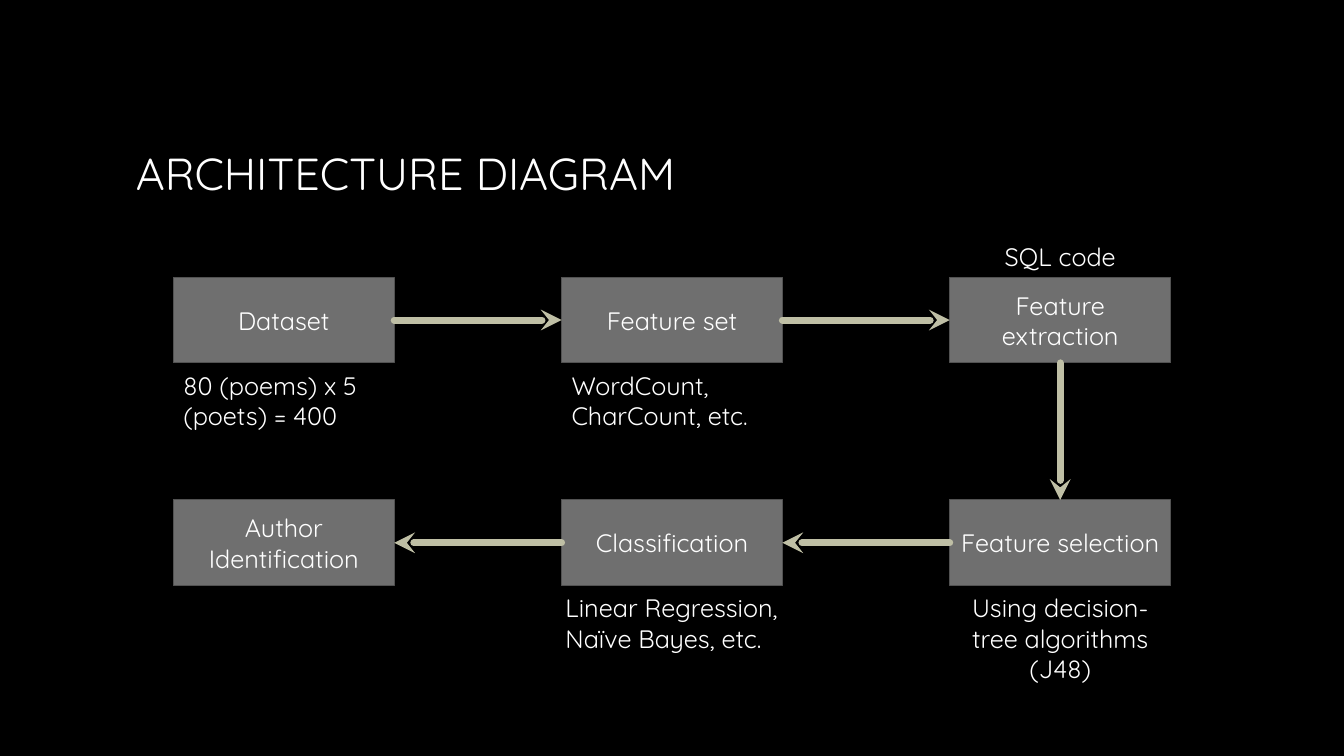
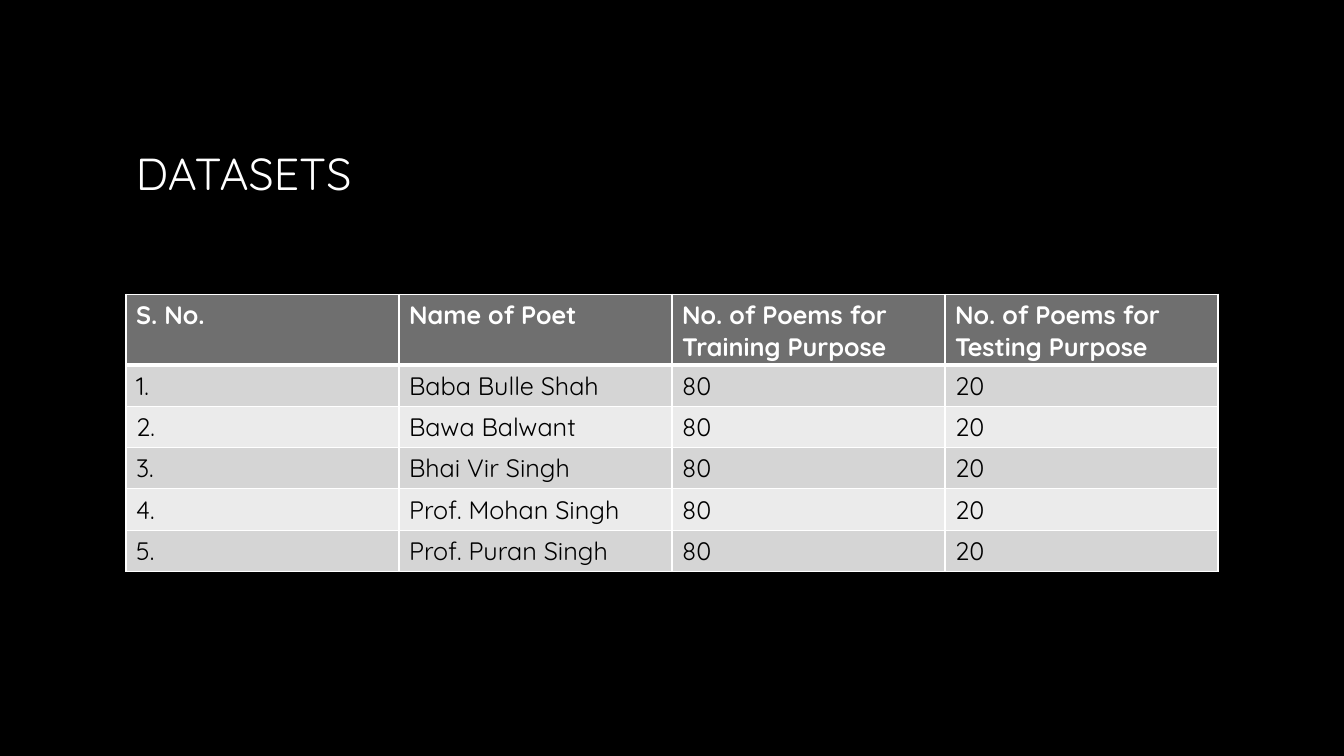
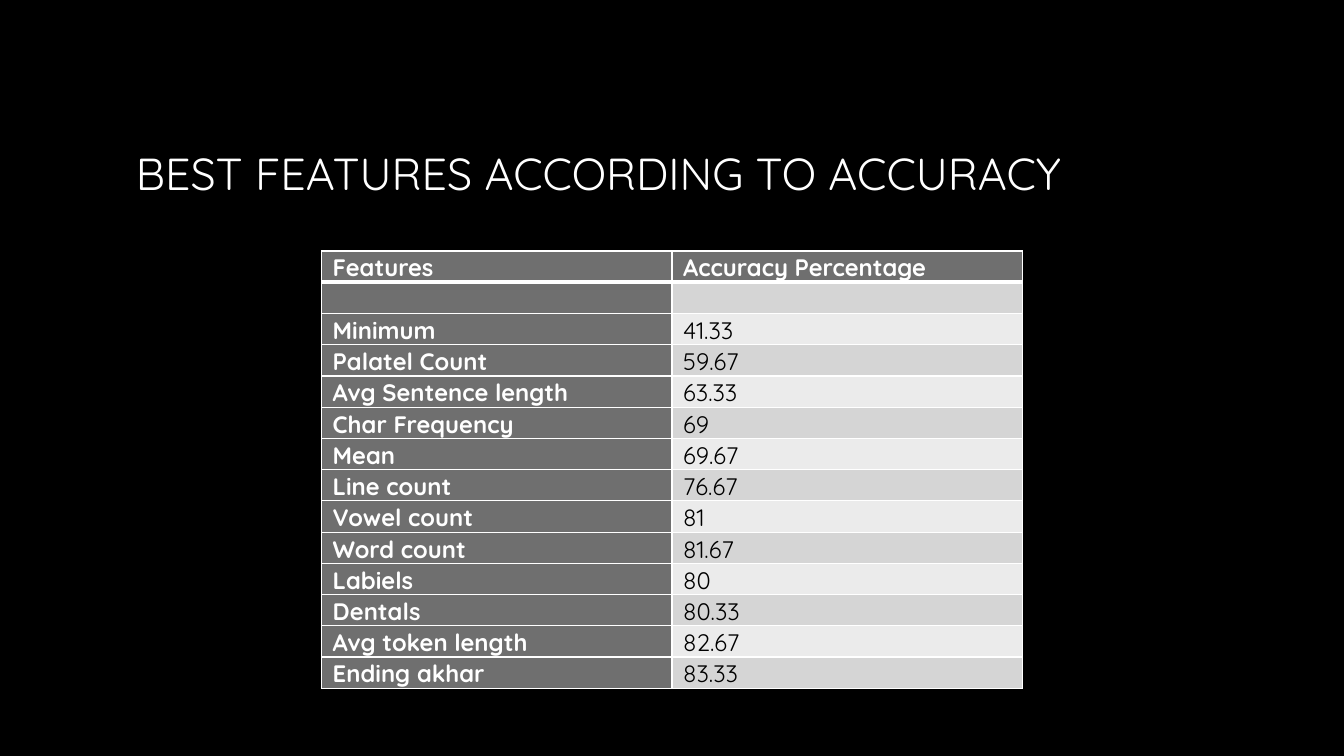
from lxml.etree import SubElement
from pptx import Presentation
from pptx.dml.color import RGBColor
from pptx.enum.shapes import MSO_CONNECTOR as Link, MSO_SHAPE as Preset
from pptx.enum.text import MSO_ANCHOR as Anchor, PP_ALIGN as Align
from pptx.oxml import parse_xml
from pptx.oxml.ns import nsdecls, qn
from pptx.util import Inches, Pt

FONT = "Quicksand"
COLOURS = {
    "black": "000000",
    "white": "FFFFFF",
    "grey": "6F6F6F",
    "outline": "525252",
    "arrow": "BFBFA5",
    "dark band": "D5D5D5",
    "light band": "EBEBEB",
}
WIDTH, HEIGHT = 13.33, 7.5
MARGIN, CONTENT_WIDTH = 1.25, 10.83
NODE_LEFT, NODE_TOP, NODE_WIDTH, NODE_HEIGHT = 1.72, 2.75, 2.19, 0.85
COLUMN_STEP, ROW_STEP = 3.85, 2.21
TOP, LEFT, BOTTOM, RIGHT = range(4)

NODES = [
    ("Dataset", 0, 0),
    ("Feature set", 1, 0),
    ("Feature extraction", 2, 0),
    ("Feature selection", 2, 1),
    ("Classification", 1, 1),
    ("Author Identification", 0, 1),
]
LINKS = [(RIGHT, LEFT), (RIGHT, LEFT), (BOTTOM, TOP), (LEFT, RIGHT), (LEFT, RIGHT)]
POETS = ["Baba Bulle Shah", "Bawa Balwant", "Bhai Vir Singh",
         "Prof. Mohan Singh", "Prof. Puran Singh"]
ACCURACY = [
    ("Features", "Accuracy Percentage"),
    ("", ""),
    ("Minimum", "41.33"),
    ("Palatel Count", "59.67"),
    ("Avg Sentence length", "63.33"),
    ("Char Frequency", "69"),
    ("Mean", "69.67"),
    ("Line count", "76.67"),
    ("Vowel count", "81"),
    ("Word count", "81.67"),
    ("Labiels", "80"),
    ("Dentals", "80.33"),
    ("Avg token length", "82.67"),
    ("Ending akhar", "83.33"),
]


def colour(name):
    """Return the named colour of the palette."""
    return RGBColor.from_string(COLOURS[name])


def write(frame, text, size=18, ink="white", bold=False, align=Align.LEFT):
    """Put one styled paragraph into a text frame and return it."""
    para = frame.paragraphs[0]
    para.text = text
    para.alignment = align
    para.font.name = FONT
    para.font.size = Pt(size)
    para.font.bold = bold
    para.font.color.rgb = colour(ink)
    return para


def add_text(page, text, left, top, width, height, anchor=Anchor.TOP, **style):
    """Add a wrapping text box."""
    box = page.shapes.add_textbox(*map(Inches, (left, top, width, height)))
    box.text_frame.word_wrap = True
    box.text_frame.vertical_anchor = anchor
    write(box.text_frame, text, **style)


def add_page(deck, title):
    """Add a blank slide with the shared title."""
    page = deck.slides.add_slide(deck.slide_layouts[6])
    add_text(page, title, MARGIN, 0.67, CONTENT_WIDTH, 2.08, Anchor.MIDDLE, size=32)
    return page


def node_place(column, row):
    """Return the left and top of a node on the diagram grid."""
    return NODE_LEFT + column * COLUMN_STEP, NODE_TOP + row * ROW_STEP


def add_node(page, text, column, row):
    """Add a labelled rectangle on the diagram grid."""
    place = (*node_place(column, row), NODE_WIDTH, NODE_HEIGHT)
    box = page.shapes.add_shape(Preset.RECTANGLE, *map(Inches, place))
    box.shadow.inherit = False
    box.fill.solid()
    box.fill.fore_color.rgb = colour("grey")
    box.line.color.rgb = colour("outline")
    box.line.width = Pt(0.75)
    box.text_frame.word_wrap = True
    box.text_frame.vertical_anchor = Anchor.MIDDLE
    write(box.text_frame, text, align=Align.CENTER)
    return box


def add_caption(page, text, column, row, drop, height, widen=0, align=Align.LEFT):
    """Add a caption at a vertical distance from the top of a node."""
    left, top = node_place(column, row)
    add_text(page, text, left - widen, top + drop, NODE_WIDTH + 2 * widen, height, align=align)


def add_arrow(page, start, start_side, end, end_side):
    """Join two nodes with a thick round-capped arrow."""
    arrow = page.shapes.add_connector(Link.STRAIGHT, 0, 0, 0, 0)
    arrow.begin_connect(start, start_side)
    arrow.end_connect(end, end_side)
    arrow.line.color.rgb = colour("arrow")
    arrow.line.width = Pt(5)
    line = arrow.line._get_or_add_ln()
    line.set("cap", "rnd")
    SubElement(line, qn("a:tailEnd"), type="stealth")
    SubElement(arrow._element.spPr, qn("a:effectLst"))


def set_borders(cell, top, bottom):
    """Give a cell white borders, with top and bottom widths in points."""
    properties = cell._tc.get_or_add_tcPr()
    sides = (("L", 1), ("R", 1), ("T", top), ("B", bottom))
    for index, (side, width) in enumerate(sides):
        properties.insert(index, parse_xml(
            f'<a:ln{side} {nsdecls("a")} w="{Pt(width)}"><a:solidFill>'
            f'<a:srgbClr val="{COLOURS["white"]}"/></a:solidFill></a:ln{side}>'))


def add_grid(page, rows, left, top, width, row_height, size=18, compact=False):
    """Add a banded table; a compact one has tight cells and a dark first column."""
    columns = len(rows[0])
    place = (left, top, width, row_height * len(rows))
    table = page.shapes.add_table(len(rows), columns, *map(Inches, place)).table
    table.first_row = table.horz_banding = False
    for row, texts in enumerate(rows):
        for column, text in enumerate(texts):
            cell = table.cell(row, column)
            heading = row == 0 or (compact and column == 0)
            band = "dark band" if row % 2 else "light band"
            cell.fill.solid()
            cell.fill.fore_color.rgb = colour("grey" if heading else band)
            set_borders(cell, 3 if row == 1 else 1, 3 if row == 0 else 1)
            if compact:
                cell.margin_left = cell.margin_right = Inches(0.11)
                cell.margin_top = cell.margin_bottom = 0
                cell.vertical_anchor = Anchor.MIDDLE
            if text:
                para = write(cell.text_frame, text, size, "white" if heading else "black", heading)
                if compact:
                    para.alignment = Align.JUSTIFY
                    para.line_spacing = 1.07


def build_architecture(deck):
    """Build the diagram slide."""
    page = add_page(deck, "ARCHITECTURE DIAGRAM")
    boxes = [add_node(page, *node) for node in NODES]
    for start, end, (start_side, end_side) in zip(boxes, boxes[1:], LINKS):
        add_arrow(page, start, start_side, end, end_side)
    below = NODE_HEIGHT + 0.02
    add_caption(page, "80 (poems) x 5 (poets) = 400", 0, 0, below, 0.71)
    add_caption(page, "WordCount, CharCount, etc.", 1, 0, below, 0.71)
    add_caption(page, "Using decision-tree algorithms (J48)", 2, 1, below, 1.01,
                align=Align.CENTER)
    add_caption(page, "Linear Regression, Naïve Bayes, etc.", 1, 1, below, 0.71, widen=0.06)
    add_caption(page, "SQL code", 2, 0, -0.41, 0.4, align=Align.CENTER)


def build_datasets(deck):
    """Build the slide with the table of poets."""
    page = add_page(deck, "DATASETS")
    header = ("S. No.", "Name of Poet", "No. of Poems for Training Purpose",
              "No. of Poems for Testing Purpose")
    rows = [(f"{number}.", poet, "80", "20") for number, poet in enumerate(POETS, 1)]
    add_grid(page, [header, *rows], MARGIN, 2.92, CONTENT_WIDTH, 0.41)


def build_accuracy(deck):
    """Build the slide with the accuracy table."""
    page = add_page(deck, "BEST FEATURES ACCORDING TO ACCURACY")
    add_grid(page, ACCURACY, 3.19, 2.49, 6.95, 0.31, size=17, compact=True)


def main():
    """Build and save the deck."""
    deck = Presentation()
    deck.slide_width, deck.slide_height = Inches(WIDTH), Inches(HEIGHT)
    backdrop = deck.slide_master.background.fill
    backdrop.solid()
    backdrop.fore_color.rgb = colour("black")
    build_architecture(deck)
    build_datasets(deck)
    build_accuracy(deck)
    deck.save("out.pptx")


if __name__ == "__main__":
    main()
